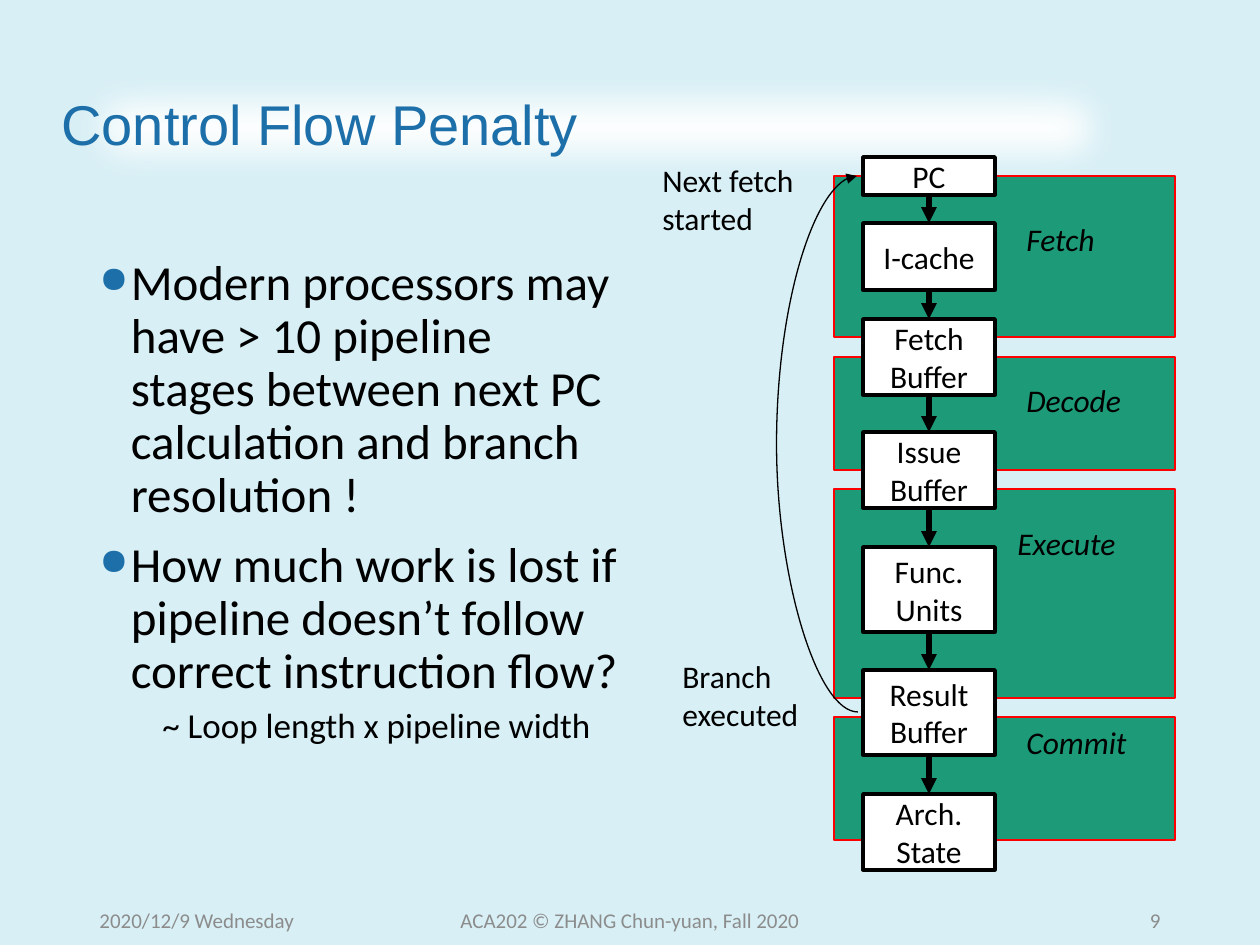
import pptx
import pptx.util
import pptx.dml.color
import pptx.enum.shapes
import pptx.enum.text
import pptx.oxml
import pptx.oxml.ns
import lxml.etree

SCALE = 914400 / 126
NS = 'xmlns:a="http://schemas.openxmlformats.org/drawingml/2006/main"'
COLORS = {name: pptx.dml.color.RGBColor.from_string(value) for name, value in {
    "background": "D7EFF5", "white": "FFFFFF", "black": "000000", "blue": "1D6FA9",
    "green": "1D9A78", "red": "FF0000", "gray": "8C8C8C"}.items()}
RECT = pptx.enum.shapes.MSO_SHAPE.RECTANGLE
CONNECTOR = pptx.enum.shapes.MSO_CONNECTOR
ALIGN = pptx.enum.text.PP_ALIGN
MIDDLE = pptx.enum.text.MSO_ANCHOR.MIDDLE


def px(*lengths):
    return [round(n * SCALE) for n in lengths]


def write(sp, lines, size, color="black", font="Calibri", align=ALIGN.LEFT, anchor=None, italic=None):
    tf = sp.text_frame
    tf.word_wrap = True
    tf.vertical_anchor = anchor or pptx.enum.text.MSO_ANCHOR.TOP
    for i, line in enumerate(lines):
        p = tf.add_paragraph() if i else tf.paragraphs[0]
        p.alignment = align
        r = p.add_run()
        r.text = line
        r.font.size = pptx.util.Pt(size)
        r.font.name = font
        r.font.italic = italic
        r.font.color.rgb = COLORS[color]
    return tf


prs = pptx.Presentation()
prs.slide_width, prs.slide_height = px(1260, 945)
s = prs.slides.add_slide(prs.slide_layouts[6])
s.background.fill.solid()
s.background.fill.fore_color.rgb = COLORS["background"]

title = s.shapes.add_shape(RECT, *px(49, 50, 1095, 155))
title.fill.solid()
title.fill.fore_color.rgb = COLORS["white"]
title.line.fill.background()
title._element.spPr.append(pptx.oxml.parse_xml(
    f'<a:effectLst {NS}><a:softEdge rad="317500"/></a:effectLst>'))
tf = write(title, ["Control Flow Penalty"], 32, "blue", "Arial", anchor=MIDDLE)
tf.paragraphs[0].line_spacing = 0.9

body = s.shapes.add_textbox(*px(87, 252, 543, 600))
tf = write(body, [
    "Modern processors may have > 10 pipeline stages between next PC calculation and branch resolution !",
    "How much work is lost if pipeline doesn’t follow correct instruction flow?",
    "~ Loop length x pipeline width"], 28)
for p in tf.paragraphs:
    p.line_spacing = 0.9
    p.space_before = pptx.util.Pt(10)
for p in tf.paragraphs[:2]:
    pPr = p._p.get_or_add_pPr()
    pPr.set("marL", "228600")
    pPr.set("indent", "-228600")
    for xml in (f'<a:buClr {NS}><a:srgbClr val="{COLORS["blue"]}"/></a:buClr>',
                f'<a:buSzPct {NS} val="75000"/>', f'<a:buChar {NS} char="●"/>'):
        pPr.append(pptx.oxml.parse_xml(xml))
p = tf.paragraphs[2]
p.space_before = pptx.util.Pt(5)
p.runs[0].font.size = pptx.util.Pt(20)
p._p.get_or_add_pPr().set("marL", "457200")

stages = [("Fetch", 176, 161, 1014, 214), ("Decode", 357, 113, 1014, 375),
          ("Execute", 489, 209, 1005, 518), ("Commit", 717, 123, 1014, 717)]
for name, top, height, label_x, label_y in stages:
    sp = s.shapes.add_shape(RECT, *px(834, top, 341, height))
    sp.shadow.inherit = False
    sp.fill.solid()
    sp.fill.fore_color.rgb = COLORS["green"]
    sp.line.color.rgb = COLORS["red"]
    sp.line.width = pptx.util.Pt(0.75)
    label = s.shapes.add_textbox(*px(label_x, label_y, 150, 50))
    write(label, [name], 18, italic=True)

blocks = [(["PC"], 157, 38), (["I-cache"], 223, 67), (["Fetch", "Buffer"], 319, 76),
          (["Issue", "Buffer"], 432, 76), (["Func.", "Units"], 547, 85),
          (["Result", "Buffer"], 670, 85), (["Arch.", "State"], 794, 76)]
for lines, top, height in blocks:
    sp = s.shapes.add_shape(RECT, *px(863, top, 132, height))
    sp.shadow.inherit = False
    sp.fill.solid()
    sp.fill.fore_color.rgb = COLORS["white"]
    sp.line.color.rgb = COLORS["black"]
    sp.line.width = pptx.util.Pt(2)
    write(sp, lines, 18, align=ALIGN.CENTER, anchor=MIDDLE)

arrows = [(CONNECTOR.STRAIGHT, 929, top + height, 929, below[1], 3)
          for (_, top, height), below in zip(blocks, blocks[1:])]
arrows.append((CONNECTOR.CURVE, 858, 712, 857, 176, 0.75))
for kind, x1, y1, x2, y2, weight in arrows:
    arrow = s.shapes.add_connector(kind, *px(x1, y1, x2, y2))
    arrow.line.color.rgb = COLORS["black"]
    arrow.line.width = pptx.util.Pt(weight)
    arrow.line._get_or_add_ln().append(pptx.oxml.parse_xml(f'<a:tailEnd {NS} type="triangle"/>'))
    lxml.etree.SubElement(arrow._element.spPr, pptx.oxml.ns.qn("a:effectLst"))
    if kind == CONNECTOR.CURVE:
        guides = arrow._element.spPr.find(".//" + pptx.oxml.ns.qn("a:avLst"))
        guides.append(pptx.oxml.parse_xml(f'<a:gd {NS} name="adj1" fmla="val 8200000"/>'))

for lines, x, y, width in [(["Next fetch", "started"], 650, 155, 202),
                           (["Branch", "executed"], 670, 651, 169)]:
    write(s.shapes.add_textbox(*px(x, y, width, 88)), lines, 18)

for text, x, width, align in [("2020/12/9 Wednesday", 87, 284, ALIGN.LEFT),
                              ("ACA202 © ZHANG Chun-yuan, Fall 2020", 417, 426, ALIGN.CENTER),
                              ("9", 890, 283, ALIGN.RIGHT)]:
    sp = s.shapes.add_textbox(*px(x, 895, width, 50))
    write(sp, [text], 12, "gray", align=align, anchor=MIDDLE)

prs.save("out.pptx")
